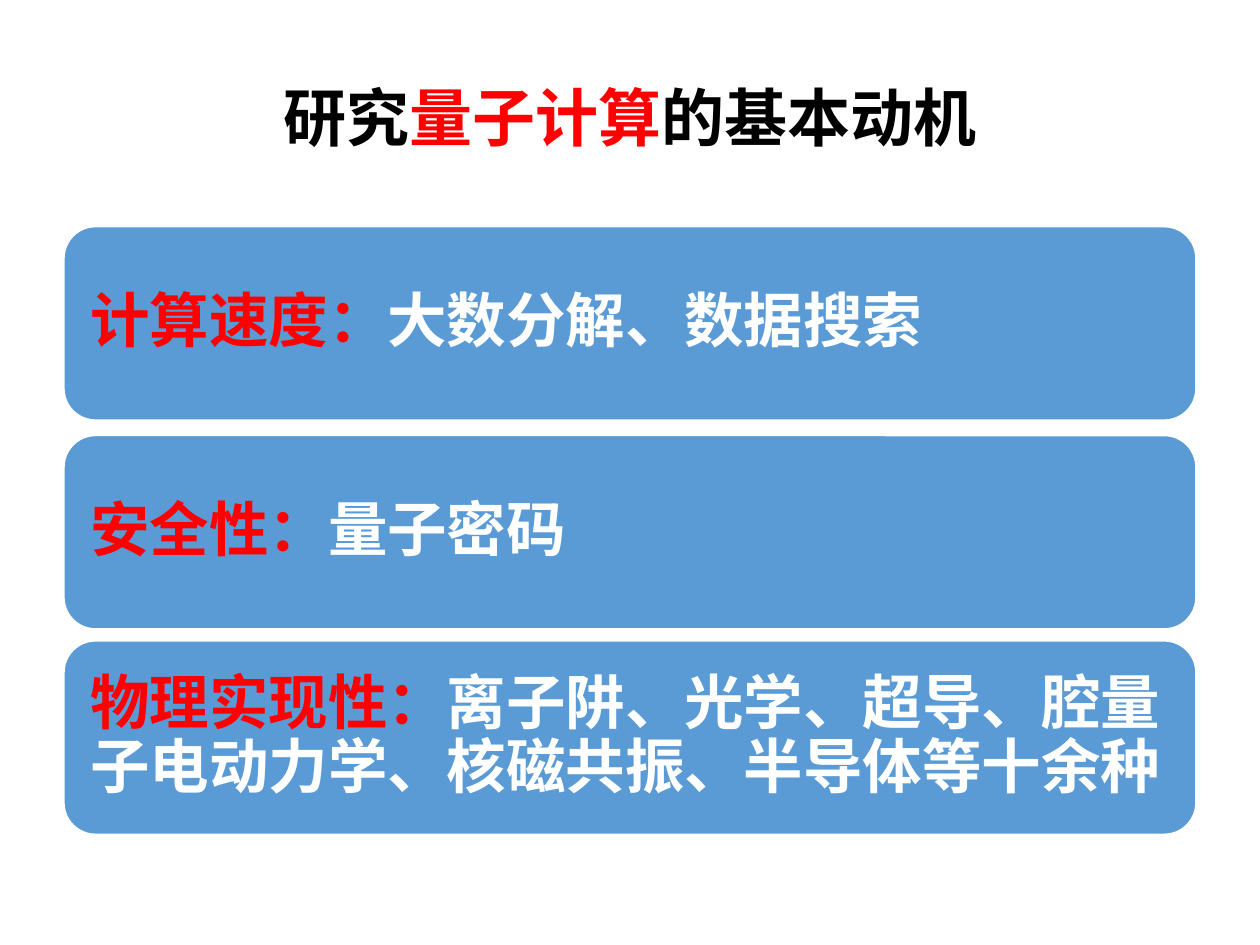
from lxml.etree import SubElement
from pptx import Presentation
from pptx.dml.color import RGBColor
from pptx.enum.shapes import MSO_SHAPE as Shape
from pptx.enum.text import MSO_ANCHOR as Anchor, PP_ALIGN as Align
from pptx.oxml.ns import qn
from pptx.util import Cm, Pt

COLORS = {"black": "000000", "red": "FF0000", "white": "FFFFFF", "blue": "5B9BD5"}
CJK = "Noto Sans CJK SC"
LEFT, WIDTH = Cm(1.27), Cm(22.86)

MOTIVES = [
    (4.55, "计算速度：", "大数分解、数据搜索"),
    (8.76, "安全性：", "量子密码"),
    (12.9, "物理实现性：", "离子阱、光学、超导、腔量子电动力学、核磁共振、半导体等十余种"),
]


def rgb(name):
    return RGBColor.from_string(COLORS[name])


def add_runs(p, runs, size, latin):
    """Add bold runs, given as (text, colour name) pairs."""
    for text, color in runs:
        r = p.add_run()
        r.text = text
        r.font.size = Pt(size)
        r.font.bold = True
        r.font.name = latin
        r.font.color.rgb = rgb(color)
        SubElement(r.font._element, qn("a:ea"), typeface=CJK)


prs = Presentation()
prs.slide_width, prs.slide_height = Cm(25.4), Cm(19.05)
s = prs.slides.add_slide(prs.slide_layouts[5])

title = s.shapes.title
title.left, title.top, title.width, title.height = LEFT, Cm(0.76), WIDTH, Cm(3.18)
tf = title.text_frame
tf.vertical_anchor = Anchor.MIDDLE
p = tf.paragraphs[0]
p.alignment = Align.CENTER
add_runs(p, [("研究", "black"), ("量子计算", "red"), ("的基本动机", "black")], 36, CJK)

for top, label, detail in MOTIVES:
    sp = s.shapes.add_shape(Shape.ROUNDED_RECTANGLE, LEFT, Cm(top), WIDTH, Cm(3.94))
    sp.shadow.inherit = False
    sp.fill.solid()
    sp.fill.fore_color.rgb = rgb("blue")
    sp.line.color.rgb = rgb("white")
    sp.line.width = Pt(2)
    tf = sp.text_frame
    tf.word_wrap = True
    tf.vertical_anchor = Anchor.MIDDLE
    tf.margin_left = tf.margin_right = tf.margin_top = tf.margin_bottom = Cm(0.36)
    p = tf.paragraphs[0]
    p.alignment = Align.LEFT
    p.line_spacing = 0.9
    add_runs(p, [(label, "red"), (detail, "white")], 34, "Calibri")

prs.save("out.pptx")
